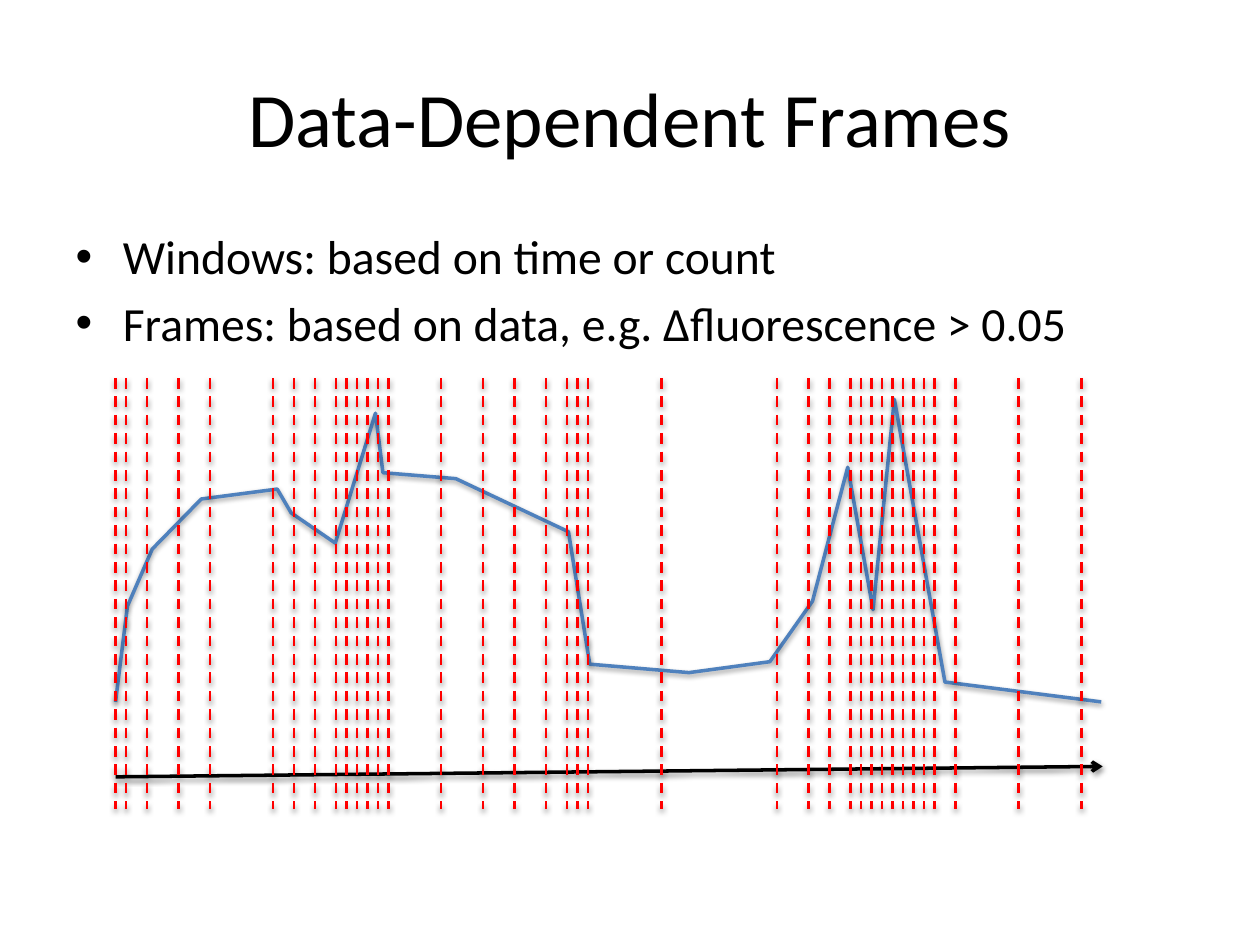
from dataclasses import dataclass
from itertools import accumulate

from lxml.etree import SubElement
from pptx import Presentation
from pptx.dml.color import RGBColor
from pptx.enum.dml import MSO_LINE
from pptx.enum.shapes import MSO_CONNECTOR
from pptx.enum.text import MSO_ANCHOR, MSO_AUTO_SIZE, PP_ALIGN
from pptx.oxml.ns import qn
from pptx.util import Cm, Pt


@dataclass(frozen=True)
class Theme:
    font: str = "Calibri"
    title_size: float = 44
    body_size: float = 27.2
    ink: str = "000000"
    signal: str = "4F81BD"
    frame: str = "FF0000"
    shadow: str = "000000"


THEME = Theme()

BULLETS = (
    "Windows: based on time or count",
    "Frames: based on data, e.g. Δfluorescence > 0.05",
)

# Signal points in centimetres
SIGNAL = (
    (2.33, 14.15), (2.57, 12.22), (3.07, 11.07), (4.06, 10.06), (5.59, 9.86),
    (5.87, 10.34), (6.76, 10.95), (7.57, 8.33), (7.72, 9.53), (9.19, 9.65),
    (11.46, 10.72), (11.89, 13.39), (13.89, 13.56), (15.52, 13.34),
    (16.38, 12.12), (17.09, 9.42), (17.6, 12.29), (18.03, 8.05),
    (19.05, 13.75), (22.2, 14.15),
)

# Frame boundaries: the first offset, then frame widths, in grid steps
GRID_STEP = 2.54 / 12
FIRST_BOUNDARY = 11
FRAME_WIDTHS = (
    1, 2, 3, 3, 6, 2, 2, 2, 1, 1, 1, 1, 1, 5, 4, 3, 3, 2, 1, 1,
    7, 11, 3, 2, 2, 1, 1, 1, 1, 1, 1, 1, 1, 2, 6, 6,
)
FRAME_TOP, FRAME_BOTTOM = 7.62, 16.3


def place(shape, left, top, width, height):
    shape.left, shape.top = Cm(left), Cm(top)
    shape.width, shape.height = Cm(width), Cm(height)


def add_span(para, text, size):
    span = para.add_run()
    span.text = text
    span.font.name = THEME.font
    span.font.size = Pt(size)
    span.font.color.rgb = RGBColor.from_string(THEME.ink)


def add_shadow(shape):
    effects = SubElement(shape.element.spPr, qn("a:effectLst"))
    shadow = SubElement(effects, qn("a:outerShdw"), blurRad=str(Pt(3.1)),
                        dist=str(Pt(1.6)), dir="5400000", rotWithShape="0")
    color = SubElement(shadow, qn("a:srgbClr"), val=THEME.shadow)
    SubElement(color, qn("a:alpha"), val="38000")


def style_line(shape, color, width):
    shape.line.color.rgb = RGBColor.from_string(color)
    shape.line.width = Pt(width)


def add_line(page, start, end, color, width, dashed=False, arrow=False):
    points = [Cm(value) for value in (*start, *end)]
    line = page.shapes.add_connector(MSO_CONNECTOR.STRAIGHT, *points)
    style_line(line, color, width)
    if dashed:
        line.line.dash_style = MSO_LINE.DASH
    if arrow:
        outline = line.element.spPr.find(qn("a:ln"))
        SubElement(outline, qn("a:tailEnd"), type="arrow")
    add_shadow(line)


def add_signal(page, points):
    corners = [(Cm(x), Cm(y)) for x, y in points]
    builder = page.shapes.build_freeform(*corners[0])
    builder.add_line_segments(corners[1:], close=False)
    curve = builder.convert_to_shape()
    curve.fill.background()
    style_line(curve, THEME.signal, 2)
    add_shadow(curve)


def fill_title(title, text):
    place(title, 1.27, 0.76, 22.86, 3.18)
    title.text_frame.vertical_anchor = MSO_ANCHOR.MIDDLE
    para = title.text_frame.paragraphs[0]
    para.alignment = PP_ALIGN.CENTER
    add_span(para, text, THEME.title_size)


def fill_body(body, lines):
    place(body, 1.27, 4.45, 22.86, 2.54)
    frame = body.text_frame
    frame.auto_size = MSO_AUTO_SIZE.NONE
    for index, line in enumerate(lines):
        para = frame.add_paragraph() if index else frame.paragraphs[0]
        add_span(para, line, THEME.body_size)


def main():
    deck = Presentation()
    deck.slide_width, deck.slide_height = Cm(25.4), Cm(19.05)
    page = deck.slides.add_slide(deck.slide_layouts[1])

    # Title and list
    fill_title(page.shapes.title, "Data-Dependent Frames")
    fill_body(page.placeholders[1], BULLETS)

    # Signal and time axis
    add_signal(page, SIGNAL)
    add_line(page, (2.33, 15.66), (22.23, 15.45), THEME.ink, 2, arrow=True)

    # Frame boundaries
    for step in accumulate((FIRST_BOUNDARY, *FRAME_WIDTHS)):
        x = step * GRID_STEP
        add_line(page, (x, FRAME_TOP), (x, FRAME_BOTTOM), THEME.frame, 1.5,
                 dashed=True)

    deck.save("out.pptx")


main()
